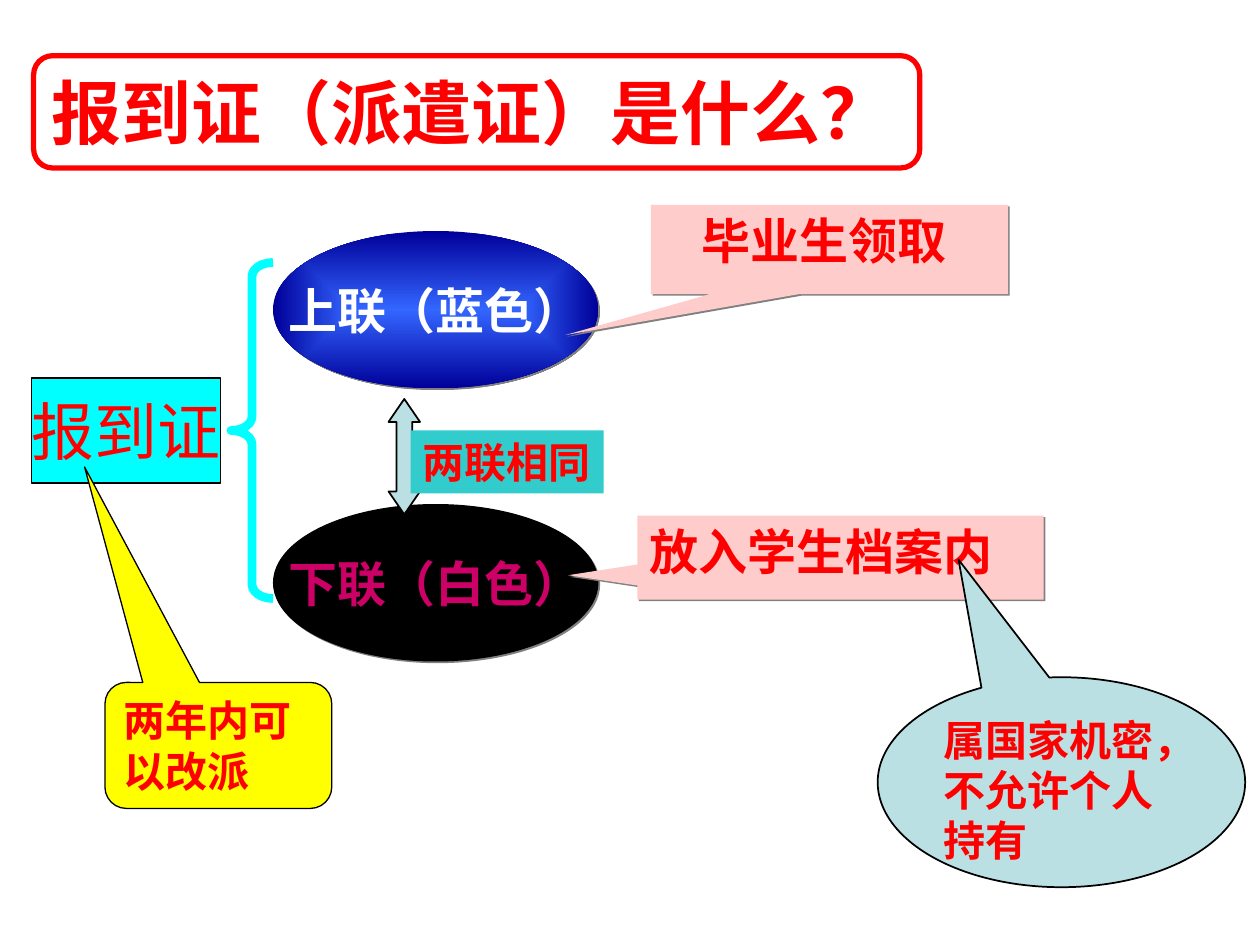
"""Build a slide that explains the two parts of the registration certificate."""
import lxml.etree
import pptx
import pptx.dml.color
import pptx.enum.shapes
import pptx.enum.text
import pptx.oxml.ns
import pptx.util

RGB = pptx.dml.color.RGBColor
SHAPE = pptx.enum.shapes.MSO_SHAPE
ALIGN = pptx.enum.text.PP_ALIGN
ANCHOR = pptx.enum.text.MSO_ANCHOR

WHITE = RGB(0xFF, 0xFF, 0xFF)
BLACK = RGB(0x00, 0x00, 0x00)
RED = RGB(0xFF, 0x00, 0x00)
CYAN = RGB(0x00, 0xFF, 0xFF)
TEAL = RGB(0x33, 0xCC, 0xCC)
PINK = RGB(0xFF, 0xCC, 0xCC)
PALE_BLUE = RGB(0xBB, 0xE0, 0xE3)
YELLOW = RGB(0xFF, 0xFF, 0x00)
MAGENTA = RGB(0xCC, 0x00, 0x66)
BRIGHT_BLUE = RGB(0x33, 0x66, 0xFF)
DARK_BLUE = RGB(0x00, 0x00, 0x99)
GRAY = RGB(0x80, 0x80, 0x80)

COLUMNS, ROWS = 120, 90
WIDTH, HEIGHT = pptx.util.Inches(10), pptx.util.Inches(7.5)

CENTERED = dict(align=ALIGN.CENTER, anchor=ANCHOR.MIDDLE)
COPY_STYLE = dict(size=28, font="Times New Roman", shadow=True, wrap=False, **CENTERED)
NOTE_STYLE = dict(fill=PINK, size=28, shadow=True)

ITEMS = [
    dict(kind=SHAPE.RECTANGLE, cell=(3, 36, 18, 10), fill=CYAN, line=(BLACK, 1),
         text="报到证", size=36, bold=False, wrap=False, **CENTERED),
    dict(kind=SHAPE.LEFT_BRACE, cell=(22, 25, 4, 32), adjust=(0.33, 0.5), line=(CYAN, 5)),
    dict(kind=SHAPE.OVAL, cell=(26, 22, 31, 15), fill=[BRIGHT_BLUE, DARK_BLUE],
         text="上联（蓝色）", color=WHITE, **COPY_STYLE),
    dict(kind=SHAPE.OVAL, cell=(26, 48, 31, 15), fill=BLACK,
         text="下联（白色）", color=MAGENTA, **COPY_STYLE),
    dict(kind=SHAPE.RECTANGULAR_CALLOUT, cell=(62, 19.5, 34, 8.5), adjust=(-0.74, 0.96),
         text="毕业生领取 ", align=ALIGN.CENTER, **NOTE_STYLE),
    dict(kind=SHAPE.RECTANGULAR_CALLOUT, cell=(60.7, 49.1, 38.7, 8), adjust=(-0.67, 0.21),
         text="放入学生档案内", **NOTE_STYLE),
    dict(kind=SHAPE.LEFT_RIGHT_ARROW, cell=(33, 42, 11, 3), adjust=(0.5, 0.73),
         rotation=90, fill=PALE_BLUE, line=(BLACK, 1)),
    dict(kind=SHAPE.RECTANGLE, cell=(39.1, 41, 18.4, 6), fill=TEAL,
         text="两联相同", font="Arial Narrow", wrap=False, grow=True),
    dict(kind=SHAPE.OVAL_CALLOUT, cell=(83.6, 64.5, 35, 20), adjust=(-0.28, -1.06),
         fill=PALE_BLUE, line=(BLACK, 1), text="属国家机密，不允许个人持有"),
    dict(kind=SHAPE.ROUNDED_RECTANGLE, cell=(3.2, 5.3, 84.4, 10.7), adjust=(0.17,),
         fill=WHITE, line=(RED, 3), text="报到证（派遣证）是什么？",
         size=40, font="Times New Roman", anchor=ANCHOR.MIDDLE),
    dict(kind=SHAPE.ROUNDED_RECTANGULAR_CALLOUT, cell=(10, 65, 21.6, 12),
         adjust=(-0.59, -2.21, 0.17), fill=YELLOW, line=(BLACK, 0.75),
         text="两年内可以改派"),
]


def add_element(parent, tag, **attributes):
    return lxml.etree.SubElement(parent, pptx.oxml.ns.qn(tag), attributes)


def paint_fill(shape, fill):
    if fill is None:
        shape.fill.background()
    elif isinstance(fill, RGB):
        shape.fill.solid()
        shape.fill.fore_color.rgb = fill
    else:
        shape.fill.gradient()
        for stop, color in zip(shape.fill.gradient_stops, fill):
            stop.color.rgb = color
        linear = shape.element.spPr.find(".//" + pptx.oxml.ns.qn("a:lin"))
        gradient = linear.getparent()
        gradient.remove(linear)
        center = add_element(gradient, "a:path", path="rect")
        add_element(center, "a:fillToRect", l="50000", t="50000", r="50000", b="50000")


def paint_line(shape, line):
    if line is None:
        shape.line.fill.background()
    else:
        color, width = line
        shape.line.color.rgb = color
        shape.line.width = pptx.util.Pt(width)


def cast_shadow(shape):
    effects = shape.element.spPr.find(pptx.oxml.ns.qn("a:effectLst"))
    distance = pptx.util.Pt(1.4)
    shadow = add_element(effects, "a:outerShdw", dist=str(distance), dir="2700000",
                         algn="ctr", rotWithShape="0")
    add_element(shadow, "a:srgbClr", val=str(GRAY))


def write_text(shape, text, size, font, bold, color, align, anchor, wrap, grow):
    frame = shape.text_frame
    frame.word_wrap = wrap
    frame.vertical_anchor = anchor
    if grow:
        frame.auto_size = pptx.enum.text.MSO_AUTO_SIZE.SHAPE_TO_FIT_TEXT
    paragraph = frame.paragraphs[0]
    paragraph.alignment = align
    run = paragraph.add_run()
    run.text = text
    run.font.name = font
    run.font.size = pptx.util.Pt(size)
    run.font.bold = bold
    run.font.color.rgb = color


def add_item(slide, kind, cell, adjust=(), rotation=0, fill=None, line=None, shadow=False,
             text="", size=24, font="Arial", bold=True, color=RED, align=ALIGN.LEFT,
             anchor=ANCHOR.TOP, wrap=True, grow=False):
    steps = (WIDTH / COLUMNS, HEIGHT / ROWS) * 2
    shape = slide.shapes.add_shape(kind, *(round(n * step) for n, step in zip(cell, steps)))
    for index, value in enumerate(adjust):
        shape.adjustments[index] = value
    shape.rotation = rotation
    paint_fill(shape, fill)
    paint_line(shape, line)
    shape.shadow.inherit = False
    if shadow:
        cast_shadow(shape)
    if text:
        write_text(shape, text, size, font, bold, color, align, anchor, wrap, grow)


def main():
    presentation = pptx.Presentation()
    presentation.slide_width, presentation.slide_height = WIDTH, HEIGHT
    slide = presentation.slides.add_slide(presentation.slide_layouts[6])
    for item in ITEMS:
        add_item(slide, **item)
    presentation.save("out.pptx")


if __name__ == "__main__":
    main()
